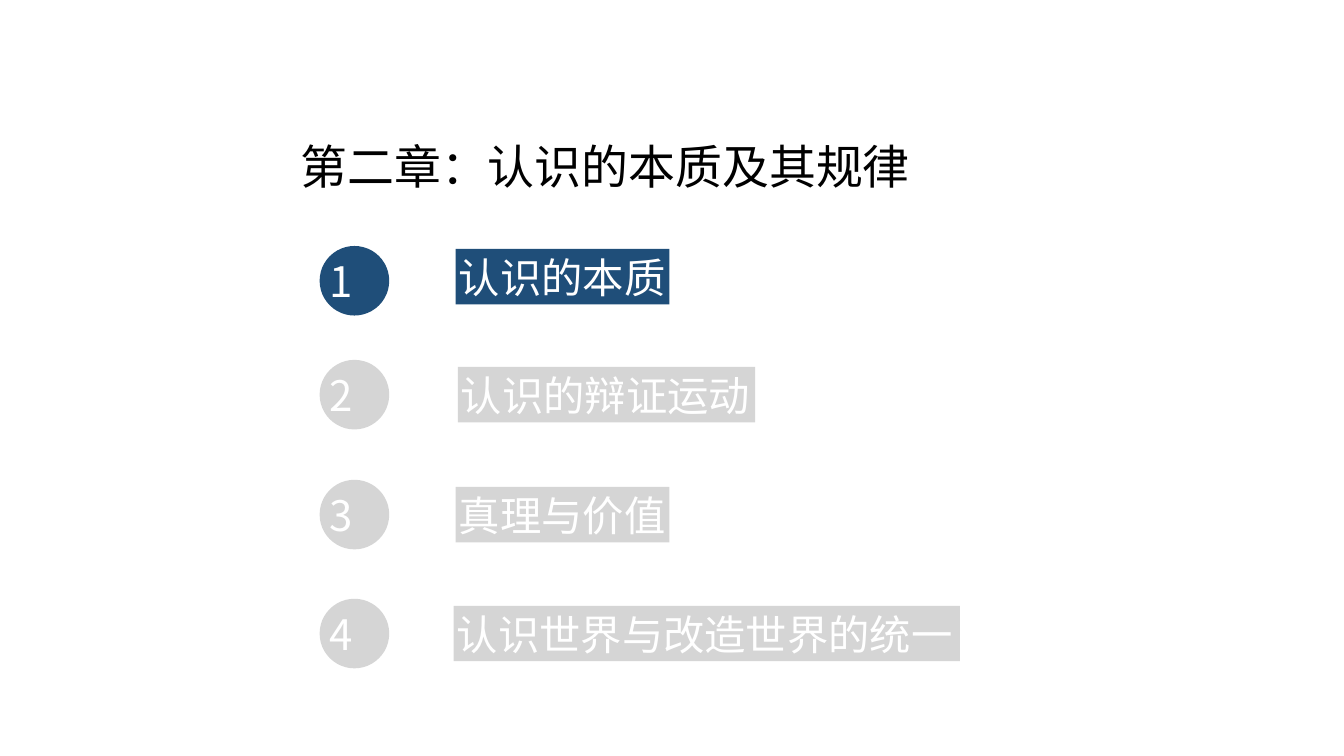
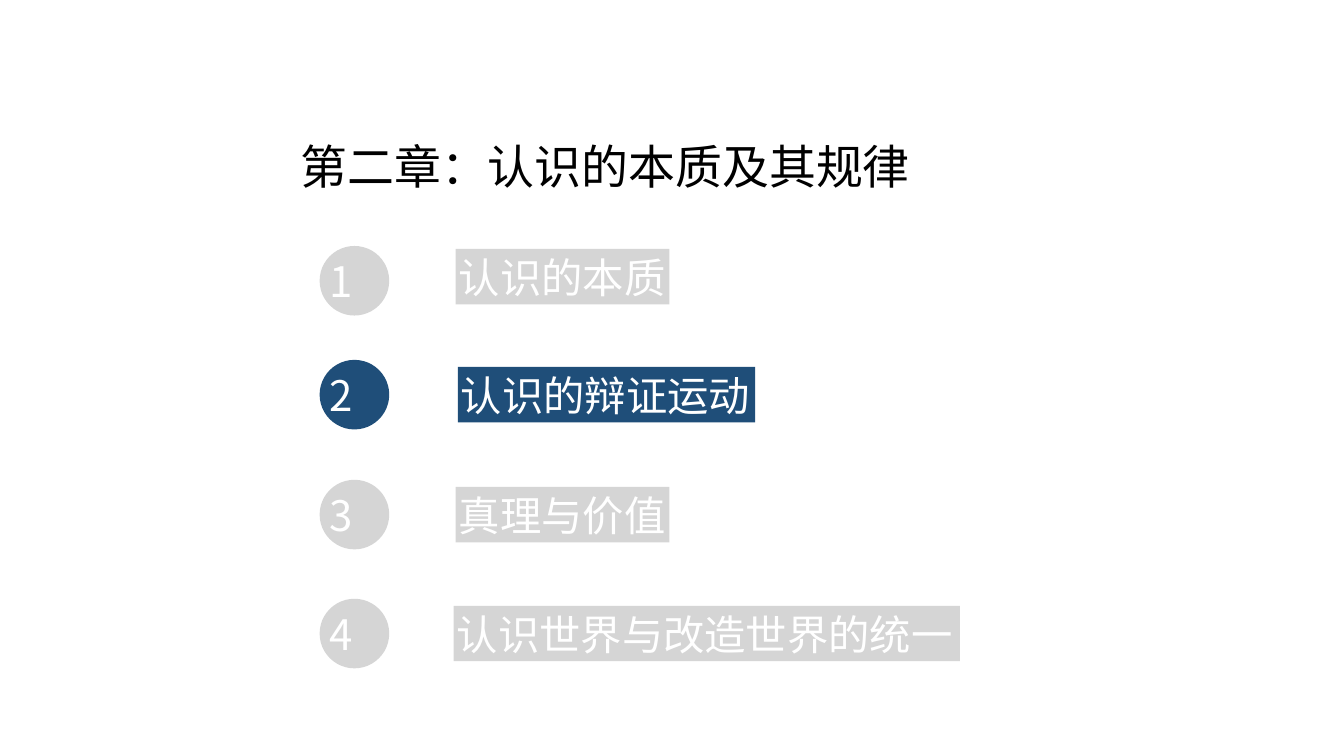
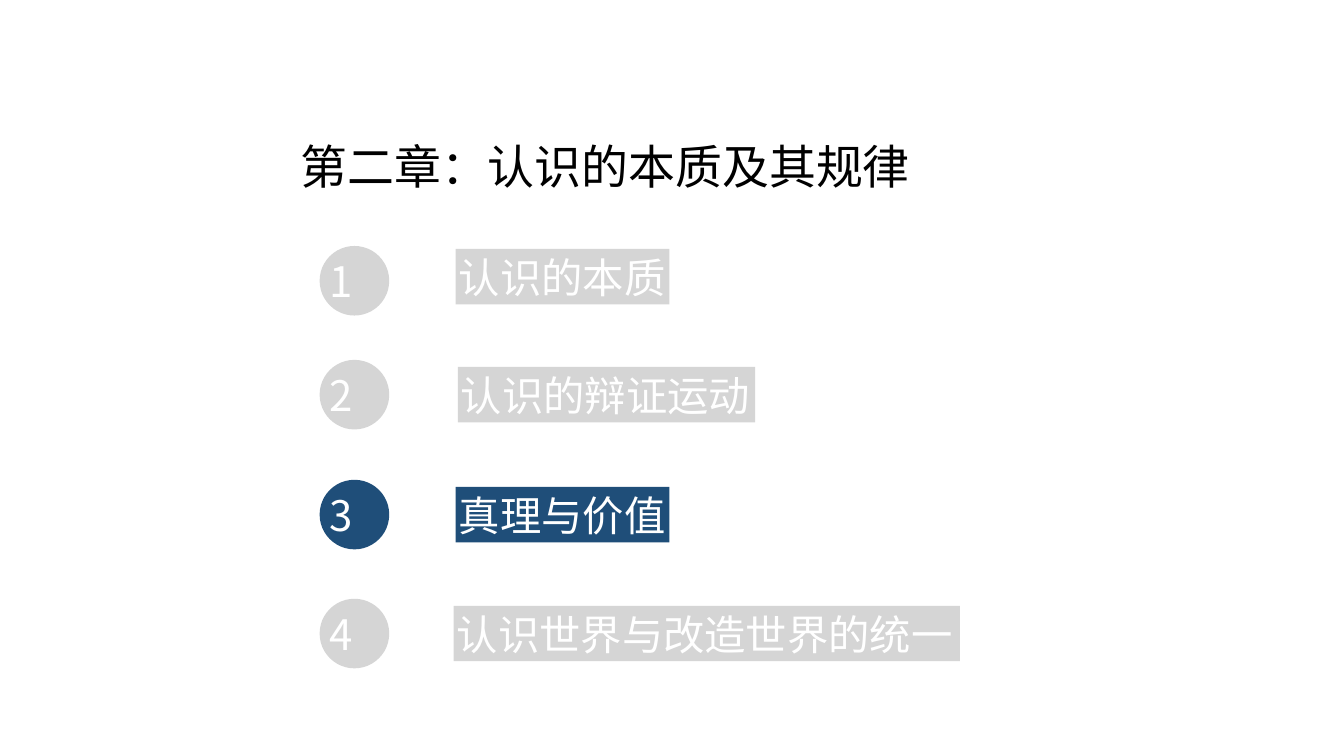
from collections import namedtuple

from pptx import Presentation
from pptx.dml.color import RGBColor
from pptx.enum.shapes import MSO_SHAPE
from pptx.enum.text import MSO_ANCHOR, MSO_AUTO_SIZE, PP_ALIGN
from pptx.oxml.xmlchemy import OxmlElement
from pptx.util import Inches, Pt

OVAL, RECTANGLE = MSO_SHAPE.OVAL, MSO_SHAPE.RECTANGLE
MIDDLE, LEFT, NO_AUTOFIT = MSO_ANCHOR.MIDDLE, PP_ALIGN.LEFT, MSO_AUTO_SIZE.NONE

COLORS = {"title": "000000", "active": "1F4E79", "idle": "D5D5D5", "on_fill": "FFFFFF"}
TITLE_FONT, BODY_FONT = "Arial", "Noto Sans CJK SC"
SLIDE_SIZE = (13.33, 7.5)
TITLE_BOX = (2.95, 1.1, 6.16, 0.81)
BADGE_LEFT, BADGE_SIZE = 3.17, 0.69
LABEL_HEIGHT, INSET = 0.55, 0.03

CHAPTER = "第二章：认识的本质及其规律"
Section = namedtuple("Section", "name badge_top label_left label_top label_width")
SECTIONS = [
    Section("认识的本质", 2.44, 4.52, 2.47, 2.12),
    Section("认识的辩证运动", 3.57, 4.54, 3.64, 2.95),
    Section("真理与价值", 4.76, 4.52, 4.83, 2.12),
    Section("认识世界与改造世界的统一", 5.94, 4.5, 6.01, 5.02),
]
ACTIVE_SECTIONS = (1, 2, 3)


def rgb(key):
    return RGBColor.from_string(COLORS[key])


def write_line(shape, text, size, font, color, inset, wrap, spacing=None):
    """Write one left-aligned, vertically centred line into a shape."""
    frame = shape.text_frame
    frame.auto_size = NO_AUTOFIT
    frame.word_wrap = wrap
    frame.vertical_anchor = MIDDLE
    frame.margin_left = frame.margin_right = Inches(inset)
    frame.margin_top = frame.margin_bottom = Inches(inset)
    line = frame.paragraphs[0]
    line.alignment = LEFT
    if spacing:
        line.line_spacing = spacing
    run = line.add_run()
    run.text = text
    run.font.size = Pt(size)
    run.font.name = font
    run.font.color.rgb = rgb(color)
    east_asian = OxmlElement("a:ea")
    east_asian.set("typeface", BODY_FONT)
    run.font._element.find("{*}latin").addnext(east_asian)


def add_title(slide):
    """Place the chapter name in the title placeholder."""
    title = slide.shapes.title
    title.left, title.top, title.width, title.height = map(Inches, TITLE_BOX)
    write_line(title, CHAPTER, 33.5, TITLE_FONT, "title", INSET, False, 1.5)


def add_filled(slide, preset, box, fill):
    """Add a borderless, shadowless shape."""
    shape = slide.shapes.add_shape(preset, *map(Inches, box))
    shape.shadow.inherit = False
    shape.fill.solid()
    shape.fill.fore_color.rgb = rgb(fill)
    shape.line.fill.background()
    return shape


def add_section(slide, number, section, fill):
    """Add a numbered badge and the section's label."""
    badge = add_filled(slide, OVAL, (BADGE_LEFT, section.badge_top, BADGE_SIZE, BADGE_SIZE), fill)
    write_line(badge, str(number), 30, BODY_FONT, "on_fill", 0, True)
    label_box = (section.label_left, section.label_top, section.label_width, LABEL_HEIGHT)
    label = add_filled(slide, RECTANGLE, label_box, fill)
    write_line(label, section.name, 29.5, BODY_FONT, "on_fill", INSET, False)


def add_agenda(deck, active):
    """Add an agenda slide with one section highlighted."""
    slide = deck.slides.add_slide(deck.slide_layouts[5])
    add_title(slide)
    for number, section in enumerate(SECTIONS, 1):
        add_section(slide, number, section, "active" if number == active else "idle")


def main():
    deck = Presentation()
    deck.slide_width, deck.slide_height = map(Inches, SLIDE_SIZE)
    for active in ACTIVE_SECTIONS:
        add_agenda(deck, active)
    deck.save("out.pptx")


if __name__ == "__main__":
    main()
